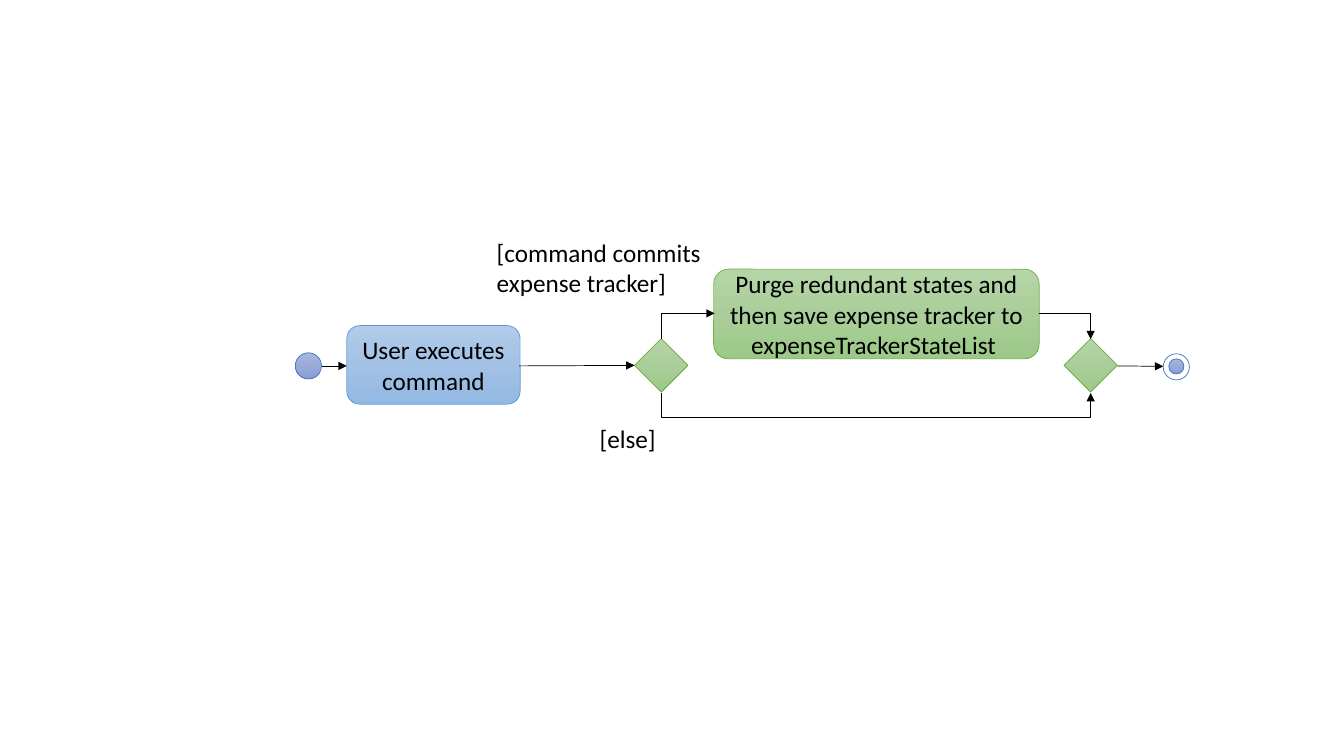
import copy
from dataclasses import dataclass

import pptx
import pptx.dml.color
import pptx.enum.shapes
import pptx.enum.text
import pptx.oxml
import pptx.oxml.ns
import pptx.util

SHAPE = pptx.enum.shapes.MSO_SHAPE
CONNECTOR = pptx.enum.shapes.MSO_CONNECTOR
ALIGN = pptx.enum.text.PP_ALIGN
qn = pptx.oxml.ns.qn

COLORS = {"text": "000000", "final_ring": "FFFFFF"}
# Theme: outline, then gradient from top to bottom
THEMES = {
    "node": ("4472C4", ("A8B7DF", "9AABD9", "889ED7")),
    "action": ("5B9BD5", ("B1CBE9", "A3C1E5", "93B9E4")),
    "commit": ("70AD47", ("B5D5A7", "AACE9A", "9CC987")),
}

# Grid of 0.1 inch cells
CELL = pptx.util.Inches(0.1)
COLS, ROWS = 133.33, 75
AXIS = 36.3      # row of the main flow
BRANCH = 31.1    # row of the commit branch
SPLIT, MERGE = 65.6, 108.2  # columns of the two diamonds
DIAMOND = 5.3
TIP = DIAMOND / 2
DROP = 2.5       # depth of the else branch below the diamonds


@dataclass
class Node:
    kind: int
    x: float  # centre
    y: float
    w: float
    h: float
    theme: str
    text: str = ""
    solid: str = ""


@dataclass
class Label:
    x: float
    y: float
    w: float
    h: float
    text: str


@dataclass
class Arrow:
    x1: float
    y1: float
    x2: float
    y2: float
    preset: str = "line"
    rot: int = 0
    flips: tuple[str, ...] = ()
    adjust: float = 0


NODES = [
    Node(SHAPE.OVAL, 30.6, AXIS, 2.6, 2.6, "node"),
    Node(SHAPE.ROUNDED_RECTANGLE, 43, AXIS - 0.1, 17.2, 7.8, "action", "User executes command"),
    Node(SHAPE.ROUNDED_RECTANGLE, 86.95, BRANCH + 0.05, 32.3, 8.9, "commit",
         "Purge redundant states and then save expense tracker to expenseTrackerStateList "),
    Node(SHAPE.DIAMOND, SPLIT, AXIS - 0.05, DIAMOND, DIAMOND, "commit"),
    Node(SHAPE.DIAMOND, MERGE, AXIS - 0.05, DIAMOND, DIAMOND, "commit"),
    Node(SHAPE.OVAL, 116.7, AXIS + 0.1, 2.6, 2.6, "node", solid="final_ring"),
    Node(SHAPE.OVAL, 116.7, AXIS + 0.05, 1.5, 1.5, "node"),
]
LABELS = [
    Label(58.5, 41.5, 9.3, 4, "[else]"),
    Label(48.3, 23, 22.6, 7.1, "[command commits expense tracker]"),
]
TOP, BOTTOM = AXIS - TIP, AXIS + TIP
ELSE_RISE = 0.04  # the else ends lie almost level
ARROWS = [
    Arrow(31.9, AXIS, 34.4, AXIS),
    Arrow(51.5, AXIS, SPLIT - TIP, AXIS - 0.05),
    Arrow(MERGE + TIP, AXIS, 115.4, AXIS + 0.05),
    Arrow(SPLIT, TOP, 70.9, BRANCH, "bentConnector2", 90, ("flipH", "flipV")),
    Arrow(SPLIT, BOTTOM, MERGE, BOTTOM + ELSE_RISE, "bentConnector3", 270, ("flipH",),
          DROP / ELSE_RISE),
    Arrow(103.1, BRANCH, MERGE, TOP, "bentConnector2"),
]


def grid(value: float) -> int:
    return round(value * CELL)


def rgb(value: str) -> pptx.dml.color.RGBColor:
    return pptx.dml.color.RGBColor.from_string(value)


def write(tf, text: str, align) -> None:
    tf.word_wrap = True
    p = tf.paragraphs[0]
    p.text = text
    p.alignment = align
    p.font.name = "Calibri"
    p.font.size = pptx.util.Pt(18)
    p.font.color.rgb = rgb(COLORS["text"])


def fill_gradient(fill, colors: tuple[str, ...]) -> None:
    fill.gradient()
    fill.gradient_angle = 270
    first = fill.gradient_stops[0]._gs
    first.addnext(copy.deepcopy(first))  # third stop
    for i, (stop, color) in enumerate(zip(fill.gradient_stops, colors)):
        stop.position = i / 2
        stop.color.rgb = rgb(color)


def draw_node(slide, node: Node) -> None:
    sp = slide.shapes.add_shape(node.kind, grid(node.x - node.w / 2), grid(node.y - node.h / 2),
                                grid(node.w), grid(node.h))
    sp.shadow.inherit = False
    outline, gradient = THEMES[node.theme]
    if node.solid:
        sp.fill.solid()
        sp.fill.fore_color.rgb = rgb(COLORS[node.solid])
    else:
        fill_gradient(sp.fill, gradient)
    sp.line.color.rgb = rgb(outline)
    sp.line.width = pptx.util.Pt(0.5)
    if node.text:
        sp.text_frame.vertical_anchor = pptx.enum.text.MSO_ANCHOR.MIDDLE
        write(sp.text_frame, node.text, ALIGN.CENTER)


def draw_label(slide, label: Label) -> None:
    box = slide.shapes.add_textbox(*map(grid, (label.x, label.y, label.w, label.h)))
    write(box.text_frame, label.text, ALIGN.LEFT)
    box.text_frame.auto_size = pptx.enum.text.MSO_AUTO_SIZE.SHAPE_TO_FIT_TEXT


def draw_arrow(slide, arrow: Arrow) -> None:
    kind = CONNECTOR.STRAIGHT if arrow.preset == "line" else CONNECTOR.ELBOW
    line = slide.shapes.add_connector(
        kind, *map(grid, (arrow.x1, arrow.y1, arrow.x2, arrow.y2)))
    line.line.color.rgb = rgb(COLORS["text"])
    line.line.width = pptx.util.Pt(0.5)
    props = line._element.spPr
    geometry = props.find(qn("a:prstGeom"))
    geometry.set("prst", arrow.preset)
    # A quarter turn makes the elbow leave vertically: swap its sides about the centre
    if arrow.rot:
        w, h = line.width, line.height
        line.left += (w - h) // 2
        line.top += (h - w) // 2
        line.width, line.height = h, w
        frame = props.find(qn("a:xfrm"))
        for flip in ("flipH", "flipV"):
            frame.set(flip, "1" if flip in arrow.flips else "0")
        frame.set("rot", str(arrow.rot * 60000))
    if arrow.adjust:
        guides = geometry.get_or_add_avLst()
        guide = pptx.oxml.parse_xml(
            f'<a:gd {pptx.oxml.ns.nsdecls("a")} name="adj1" '
            f'fmla="val {round(arrow.adjust * 100000)}"/>')
        guides.append(guide)
    # Arrowhead, and no shadow
    head = props.find(qn("a:ln")).makeelement(qn("a:tailEnd"), {"type": "triangle"})
    props.find(qn("a:ln")).append(head)
    props.append(props.makeelement(qn("a:effectLst"), {}))


prs = pptx.Presentation()
prs.slide_width, prs.slide_height = grid(COLS), grid(ROWS)
slide = prs.slides.add_slide(prs.slide_layouts.get_by_name("Blank"))

for node in NODES:
    draw_node(slide, node)
for label in LABELS:
    draw_label(slide, label)
for arrow in ARROWS:
    draw_arrow(slide, arrow)

prs.save("out.pptx")
